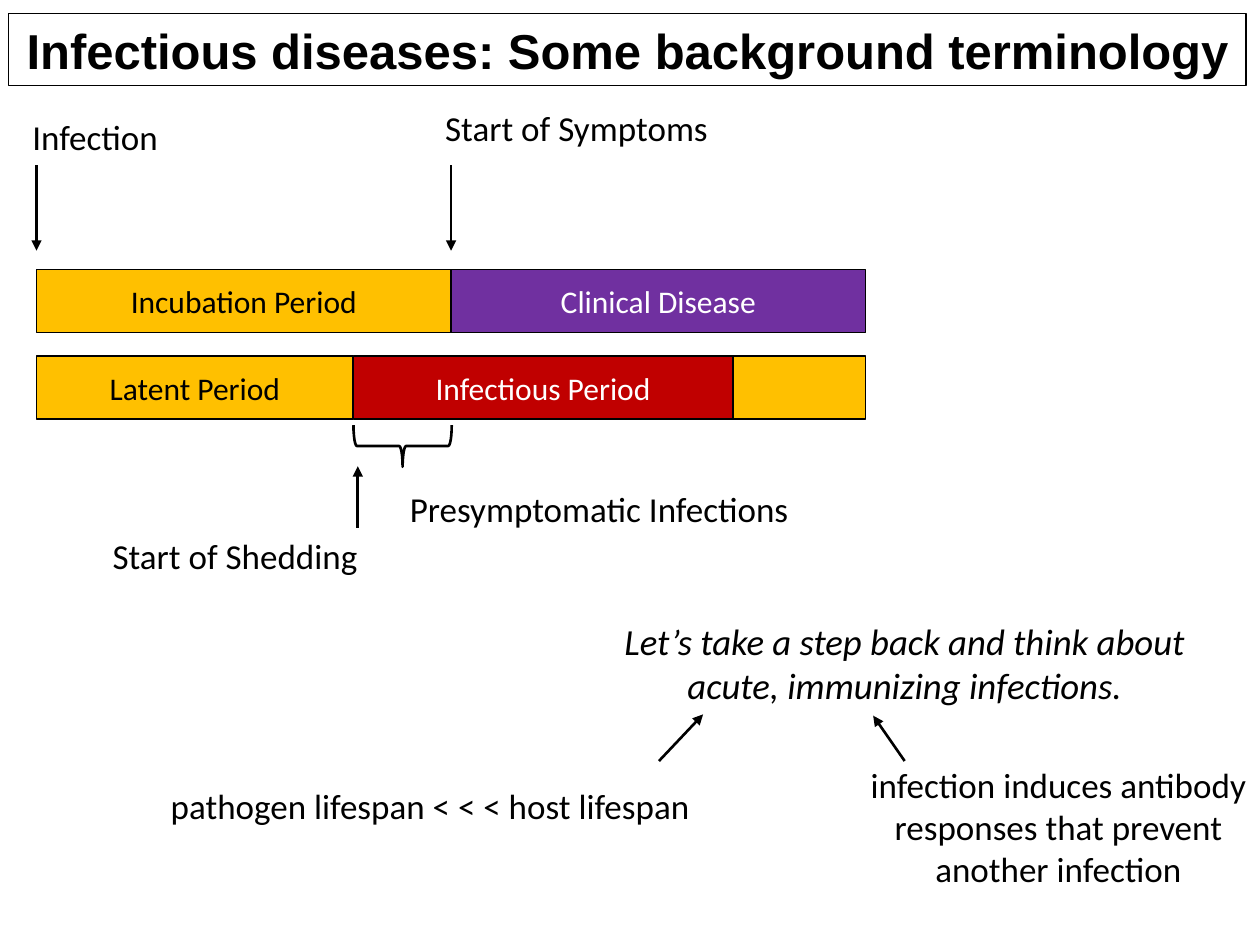
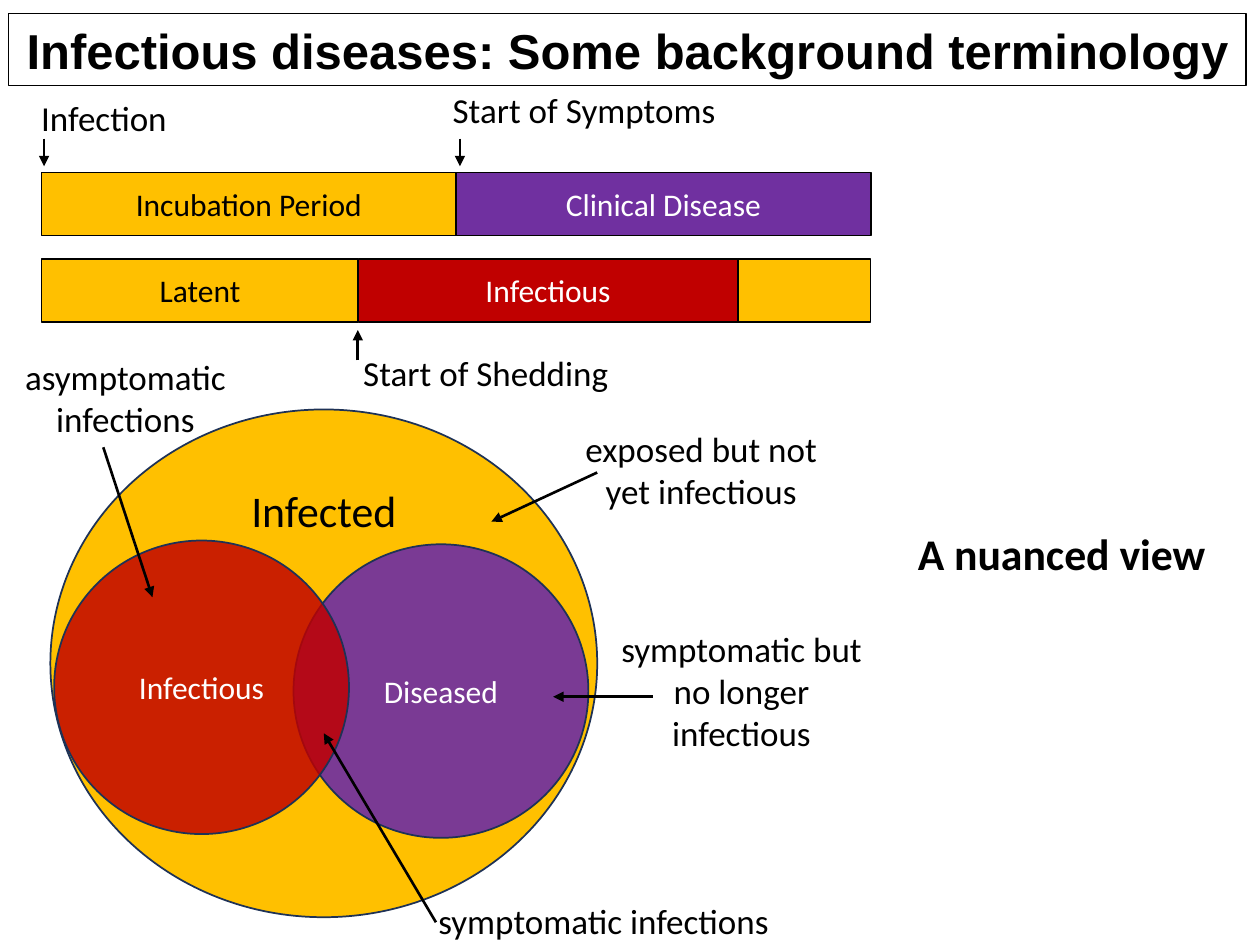
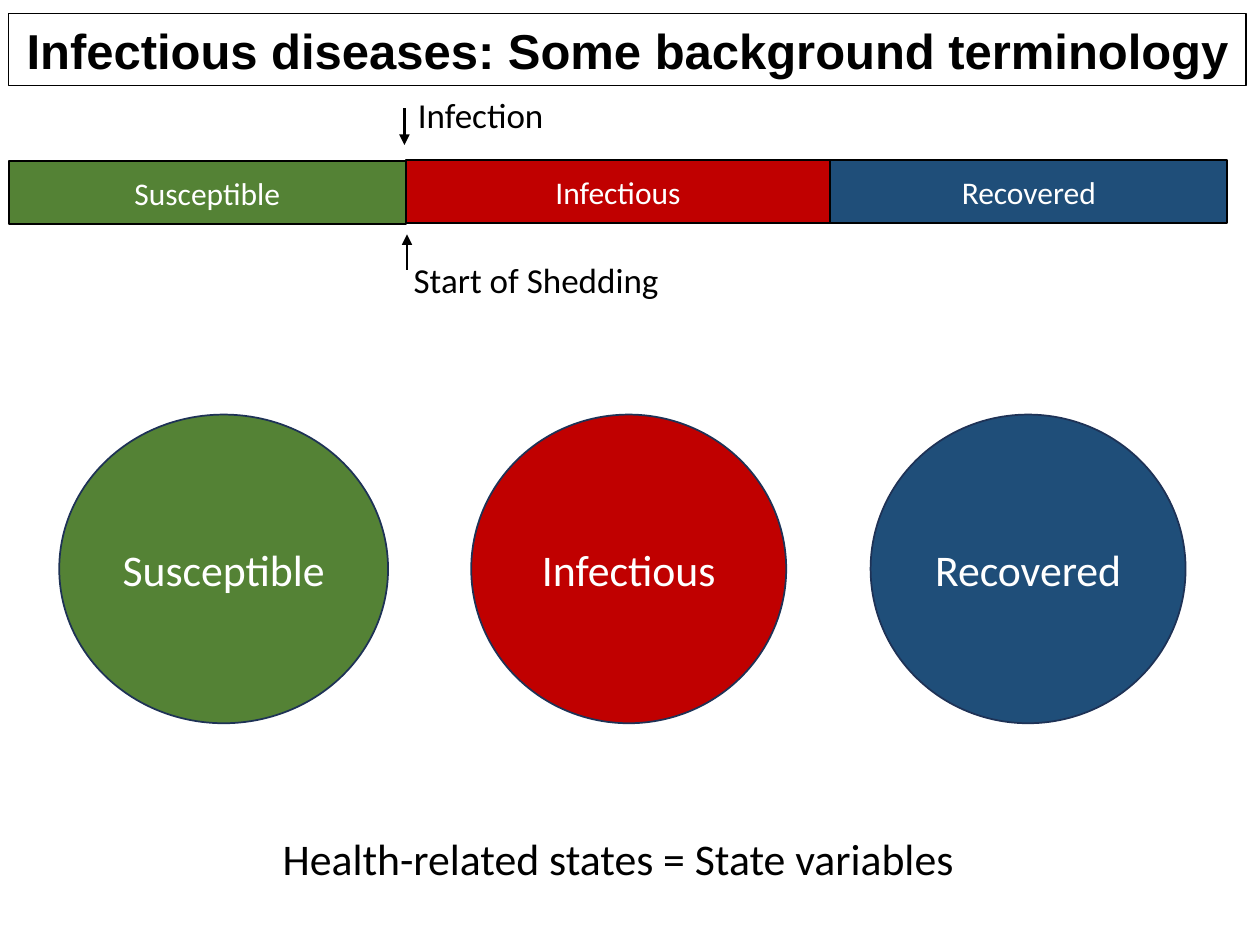
from dataclasses import dataclass

from lxml import etree
from pptx import Presentation, util as u
from pptx.dml.color import RGBColor
from pptx.enum import shapes, text
from pptx.oxml.ns import qn

COLS, ROWS = 100, 75


@dataclass(frozen=True)
class Theme:
    black: str = "000000"
    white: str = "FFFFFF"
    gold: str = "FFC000"
    purple: str = "7030A0"
    red: str = "C00000"
    green: str = "548235"
    blue: str = "1F4E79"
    navy: str = "1E3256"
    head: str = "Arial"
    body: str = "Calibri"
    title: int = 28
    large: int = 25
    quote: int = 21
    label: int = 20
    bar: int = 18
    thin: float = 0.75
    edge: float = 1
    stroke: float = 1.5


T = Theme()
MID = text.MSO_ANCHOR.MIDDLE
TOP = text.MSO_ANCHOR.TOP
FIT = text.MSO_AUTO_SIZE.SHAPE_TO_FIT_TEXT
FIXED = text.MSO_AUTO_SIZE.NONE


def rgb(code):
    return RGBColor.from_string(code)


def write(shape, words, size=T.label, color=T.black, font=T.body, bold=False,
          italic=False, anchor=TOP, fit=FIXED):
    frame = shape.text_frame
    frame.word_wrap = True
    frame.auto_size = fit
    frame.vertical_anchor = anchor
    para = frame.paragraphs[0]
    para.alignment = text.PP_ALIGN.CENTER
    run = para.add_run()
    run.text = words
    face = run.font
    face.name, face.size = font, u.Pt(size)
    face.bold, face.italic = bold, italic
    face.color.rgb = rgb(color)


class Deck:
    """Holds the presentation and draws on its current slide in grid units."""

    def __init__(self):
        self.file = Presentation()
        self.file.slide_width = u.Inches(10)
        self.file.slide_height = u.Inches(7.5)
        self.slide = None

    def grid(self, *nums):
        """Turn alternating column and row counts into lengths."""
        sides = (self.file.slide_width / COLS, self.file.slide_height / ROWS)
        return [u.Emu(round(n * sides[i % 2])) for i, n in enumerate(nums)]

    def page(self, title):
        self.slide = self.file.slides.add_slide(self.file.slide_layouts[6])
        box = self.shape("RECTANGLE", (0.7, 1.1, 98.2, 5.7), width=T.thin)
        write(box, title, size=T.title, font=T.head, bold=True, fit=FIT)

    def shape(self, kind, area, fill=None, line=T.black, width=T.edge,
              alpha=100):
        item = self.slide.shapes.add_shape(
            shapes.MSO_SHAPE[kind], *self.grid(*area))
        item.shadow.inherit = False
        item.line.color.rgb = rgb(line)
        item.line.width = u.Pt(width)
        if not fill:
            item.fill.background()
            return item
        item.fill.solid()
        item.fill.fore_color.rgb = rgb(fill)
        if alpha < 100:
            tint = item._element.spPr.find(qn("a:solidFill"))[0]
            etree.SubElement(tint, qn("a:alpha"), val=str(alpha * 1000))
        return item

    def label(self, words, *area, fit=FIT, **form):
        box = self.slide.shapes.add_textbox(*self.grid(*area))
        write(box, words, fit=fit, **form)

    def arrow(self, *ends):
        line = self.slide.shapes.add_connector(
            shapes.MSO_CONNECTOR.STRAIGHT, *self.grid(*ends))
        line.line.color.rgb = rgb(T.black)
        line.line.width = u.Pt(T.stroke)
        etree.SubElement(line.line._get_or_add_ln(), qn("a:tailEnd"),
                         type="triangle")
        etree.SubElement(line._element.spPr, qn("a:effectLst"))

    def bars(self, left, top, *parts):
        """Lay (words, width, fill) parts end to end."""
        for words, width, fill in parts:
            bar = self.shape("RECTANGLE", (left, top, width, 5), fill)
            if words:
                write(bar, words, size=T.bar, anchor=MID,
                      color=T.black if fill == T.gold else T.white)
            left += width

    def course(self, left, top, latent, shed):
        """Stack the symptom timeline above the shedding timeline."""
        self.bars(left, top, ("Incubation Period", 32.9, T.gold),
                  ("Clinical Disease", 32.9, T.purple))
        self.bars(left, top + 6.85, (latent, 25.15, T.gold),
                  (shed, 30.1, T.red), ("", 10.55, T.gold))

    def oval(self, words, area, fill, alpha=100, **form):
        item = self.shape("OVAL", area, fill, T.navy, alpha=alpha)
        form = {"size": T.large, "color": T.white, "anchor": MID} | form
        write(item, words, **form)
        return item


def terms(deck):
    deck.course(2.9, 21.4, "Latent Period", "Infectious Period")
    for ends in ((2.9, 13.1, 2.9, 19.9), (35.8, 13.1, 35.8, 19.9),
                 (28.4, 41.9, 28.4, 37), (52.3, 60.4, 55.8, 56.7),
                 (71.8, 60.4, 69.3, 56.8)):
        deck.arrow(*ends)
    brace = deck.shape("RIGHT_BRACE", (30.3, 31.5, 3.3, 7.8), width=T.stroke)
    brace.rotation = 90
    deck.label("Infection", -4.2, 8.7, 23.5, 4.4)
    deck.label("Start of Symptoms", 34, 8, 23.5, 4.4)
    deck.label("Start of Shedding", 6.9, 41.9, 23.5, 4.4)
    deck.label("Presymptomatic Infections", 29.2, 38.2, 36.7, 4.4)
    deck.label("Let’s take a step back and think about acute, immunizing "
               "infections.", 47.3, 48.6, 49, 8.1, size=T.quote, italic=True)
    deck.label("pathogen lifespan < < < host lifespan", 10.8, 61.8, 46.7, 4.4)
    deck.label("infection induces antibody responses that prevent another "
               "infection", 65.9, 60.1, 36.2, 11.1)


def nuance(deck):
    deck.course(3.3, 13.7, "Latent", "Infectious")
    host = deck.oval("Infected", (4, 32.5, 43.4, 40.3), T.gold,
                     color=T.black, anchor=TOP)
    host.text_frame.margin_top = 0
    deck.oval("Diseased", (23.3, 43.2, 23.4, 23.3), T.purple, 93, size=T.bar)
    deck.oval("Infectious", (4.3, 42.9, 23.4, 23.3), T.red, 83, size=T.bar)
    for ends in ((3.5, 11, 3.5, 13.2), (36.5, 11, 36.5, 13.2),
                 (28.4, 28.6, 28.4, 26.2), (8.2, 35.5, 12.1, 47.4),
                 (34.6, 73.2, 25.7, 58.2), (47.4, 37.5, 39, 41.4),
                 (51.8, 55.3, 43.9, 55.3)):
        deck.arrow(*ends)
    deck.label("Infection", -3.5, 7.2, 23.5, 4.4)
    deck.label("Start of Symptoms", 34.6, 6.5, 23.5, 4.4)
    deck.label("Start of Shedding", 26.8, 27.4, 23.5, 4.4)
    deck.label("symptomatic infections", 31.9, 70.9, 32, 4.4)
    deck.label("asymptomatic infections", -1.8, 27.7, 23.5, 7.7)
    deck.label("exposed but not yet infectious", 43.9, 33.4, 23.5, 7.7)
    deck.label("symptomatic but no longer infectious",
               47.1, 49.3, 23.5, 11.1)
    deck.label("A nuanced view", 70.2, 41.1, 28.1, 5.6, size=T.large,
               bold=True, anchor=MID, fit=FIXED)


def states(deck):
    deck.bars(32.2, 12.7, ("Infectious", 33.7, T.red),
              ("Recovered", 31.5, T.blue))
    deck.bars(0.7, 12.8, ("Susceptible", 31.5, T.green))
    deck.arrow(32.1, 8.6, 32.1, 11.5)
    deck.arrow(32.3, 21.4, 32.3, 18.6)
    deck.label("Infection", 26.4, 6.9, 23.5, 4.4)
    deck.label("Start of Shedding", 30.8, 20, 23.5, 4.4)
    for words, left, width, fill in (("Susceptible", 4.7, 26.1, T.green),
                                     ("Infectious", 37.4, 25, T.red),
                                     ("Recovered", 69.1, 25, T.blue)):
        deck.oval(words, (left, 32.9, width, 24.5), fill)
    deck.label("Health-related states = State variables", 18.5, 65.3, 61.1,
               5.6, size=T.large, anchor=MID, fit=FIXED)


def main():
    deck = Deck()
    for draw in (terms, nuance, states):
        deck.page("Infectious diseases: Some background terminology")
        draw(deck)
    deck.file.save("out.pptx")


if __name__ == "__main__":
    main()
